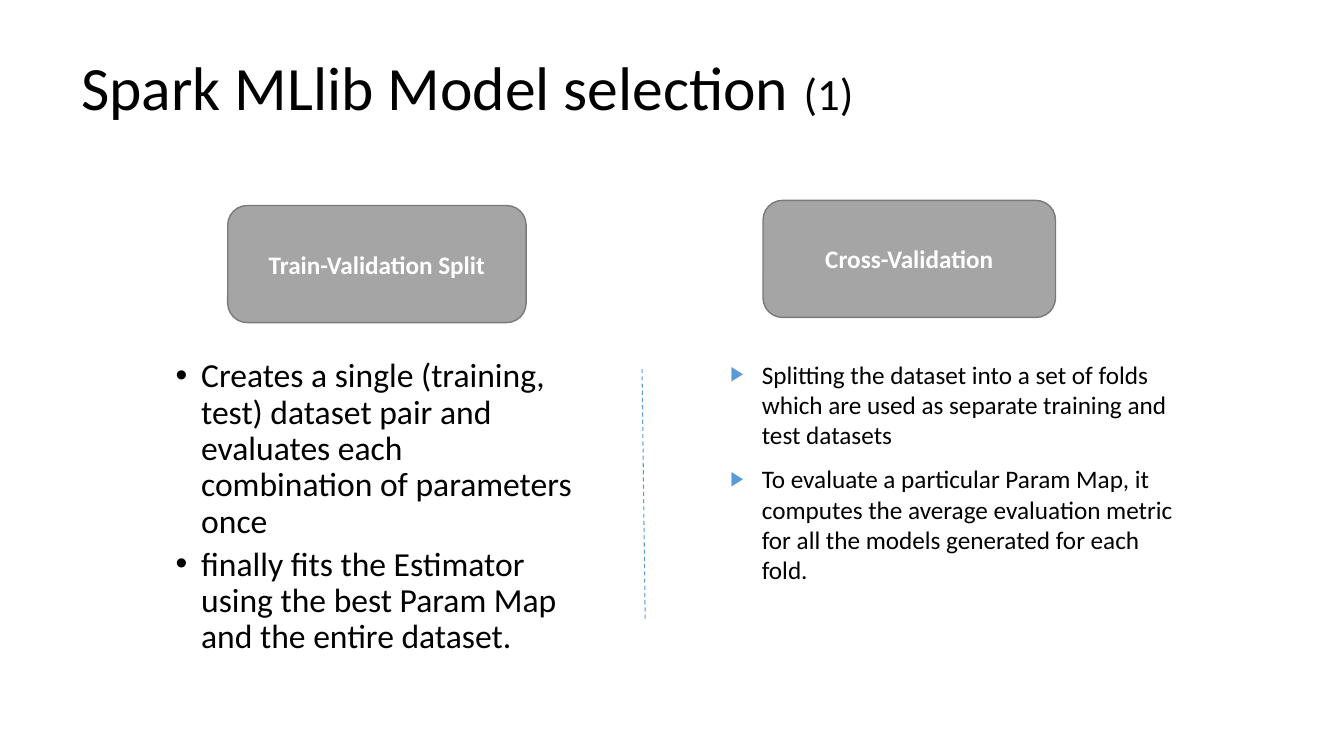
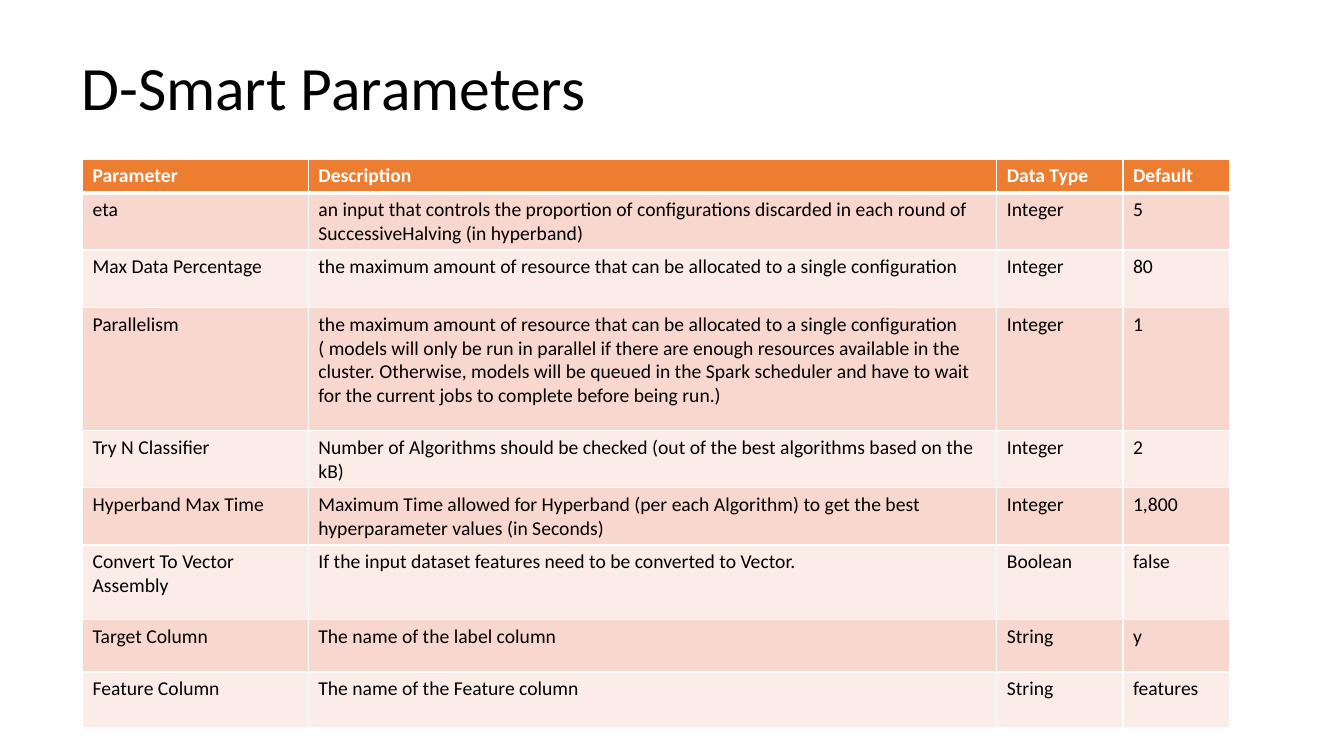
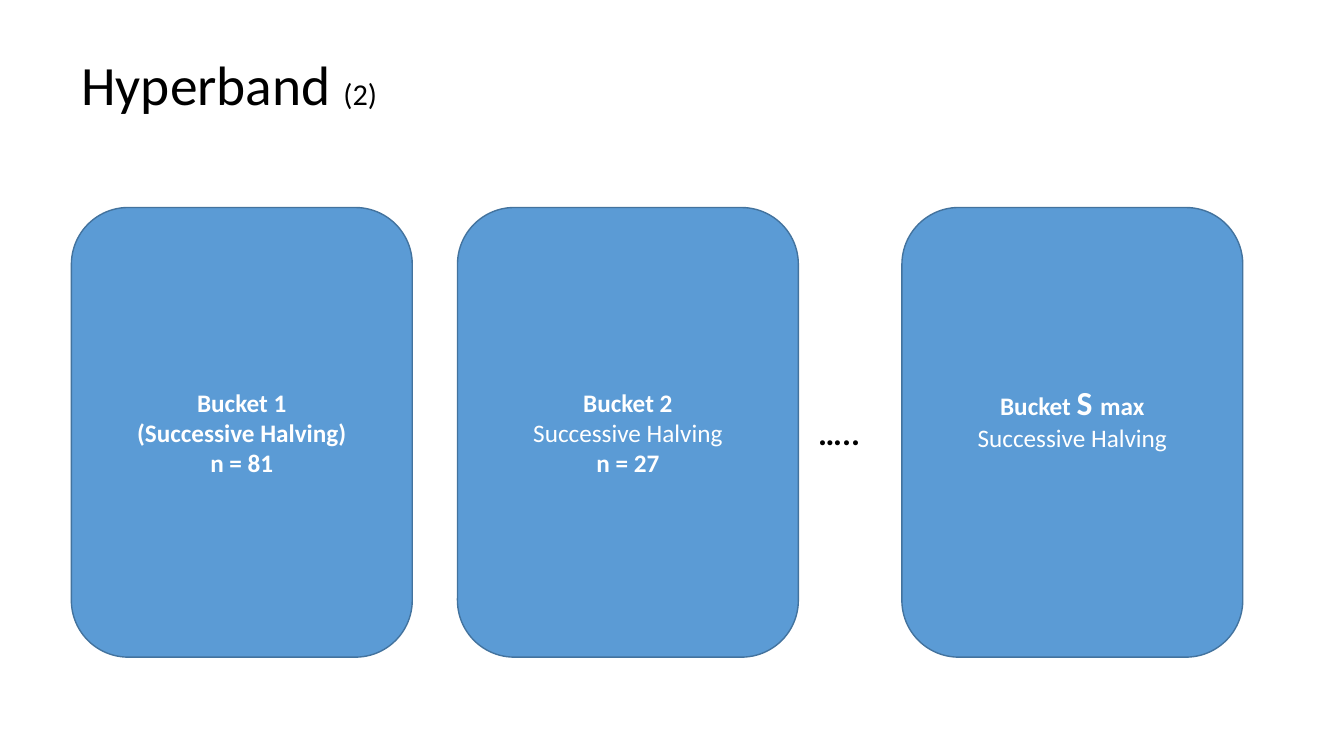
from dataclasses import dataclass
from lxml.etree import SubElement
from pptx import Presentation
from pptx.dml.color import RGBColor
from pptx.enum.dml import MSO_LINE
from pptx.enum.shapes import MSO_CONNECTOR, MSO_SHAPE
from pptx.enum.text import MSO_ANCHOR as ANCHOR, PP_ALIGN as ALIGN
from pptx.oxml import parse_xml
from pptx.oxml.ns import nsdecls, qn
from pptx.util import Cm, Pt


@dataclass(frozen=True)
class Theme:
    font: str = "Calibri"
    black: str = "000000"
    white: str = "FFFFFF"
    blue: str = "5B9BD5"
    blue_edge: str = "43739E"
    gray: str = "A5A5A5"
    gray_edge: str = "7A7A7A"
    header: str = "ED7D31"
    bands: tuple = ("F8D7CE", "FCECE8")
    title: float = 44
    large: float = 24
    body: float = 18
    cell: float = 14


T = Theme()

TITLES = [
    ([("Spark MLlib Model selection ", {}), ("(1)", {"size": 32})], 2.03),
    ([("D-Smart Parameters", {})], 2.01),
    ([("Hyperband ", {"size": 39.6}), ("(2)", {"size": 21.6})], 1.88),
]

METHODS = [
    {
        "name": "Train-Validation Split",
        "box": (5.74, 5.18, 7.52, 2.95),
        "list": (2.92, 8.92, 11.94, 8.46),
        "points": [
            "Creates a single (training, test) dataset pair and evaluates each combination of parameters once",
            "finally fits the Estimator using the best Param Map and the entire dataset.",
        ],
        "format": {"size": T.large, "bullet": "•", "margin": 1.9, "hang": 0.64, "spacing": 0.9, "before": 5},
    },
    {
        "name": "Cross-Validation",
        "box": (19.23, 5.05, 7.37, 2.95),
        "list": (16.89, 8.92, 13.11, 8.46),
        "points": [
            "Splitting the dataset into a set of folds which are used as separate training and test datasets",
            "To evaluate a particular Param Map, it computes the average evaluation metric for all the models generated for each fold.",
        ],
        "format": {"bullet": "▶", "bullet_color": T.blue, "bullet_size": 80, "margin": 2.06, "hang": 0.79, "before": 10},
    },
]
DIVIDER = (16.18, 9.3, 16.26, 15.65)

COLUMNS = [("Parameter", 5.69), ("Description", 17.35), ("Data Type", 3.18), ("Default", 2.69)]
HEADER_HEIGHT = 0.82
PARAMETERS = [
    (1.4, "eta", "an input that controls the proportion of configurations discarded in each round of SuccessiveHalving (in hyperband)", "Integer", "5"),
    (1.45, "Max Data Percentage", "the maximum amount of resource that can be allocated to a single configuration", "Integer", "80"),
    (3.1, "Parallelism", "the maximum amount of resource that can be allocated to a single configuration ( models will only be run in parallel if there are enough resources available in the cluster. Otherwise, models will be queued in the Spark scheduler and have to wait for the current jobs to complete before being run.)", "Integer", "1"),
    (1.4, "Try N Classifier", "Number of Algorithms should be checked (out of the best algorithms based on the kB)", "Integer", "2"),
    (1.4, "Hyperband Max Time", "Maximum Time allowed for Hyperband (per each Algorithm) to get the best hyperparameter values (in Seconds)", "Integer", "1,800"),
    (1.88, "Convert To Vector Assembly", "If the input dataset features need to be converted to Vector.", "Boolean", "false"),
    (1.32, "Target Column", "The name of the label column", "String", "y"),
    (1.4, "Feature Column", "The name of the Feature column", "String", "features"),
]

PLAIN = {"bold": False}
BUCKETS = [
    (1.8, ["Bucket 1", "(Successive Halving)", "n = 81"], 0.13),
    (11.53, ["Bucket 2", [("Successive Halving", PLAIN)], "n = 27"], 0.13),
    (22.73, [[("Bucket ", {}), ("S ", {"size": T.large}), ("max", {})], [("Successive Halving", PLAIN)]], 0.9),
]
BUCKET_TOP, BUCKET_WIDTH, BUCKET_HEIGHT = 5.23, 8.59, 11.33
DOTS = (20.37, 10.26, 1.85, 1.27)


def rgb(color):
    return RGBColor.from_string(color)


def add_bullet(p, char, margin, hang, color, percent):
    pPr = p._p.get_or_add_pPr()
    pPr.set("marL", str(Cm(margin)))
    pPr.set("indent", str(-Cm(hang)))
    if color:
        SubElement(SubElement(pPr, qn("a:buClr")), qn("a:srgbClr"), val=color)
    SubElement(pPr, qn("a:buSzPct"), val=str(percent * 1000))
    SubElement(pPr, qn("a:buFont"), typeface="Arial")
    SubElement(pPr, qn("a:buChar"), char=char)


def write(tf, paragraphs, size=T.body, color=T.black, bold=False, align=ALIGN.LEFT,
          spacing=None, before=0, bullet=None, margin=0, hang=0, bullet_color=None, bullet_size=100):
    for i, runs in enumerate(paragraphs):
        p = tf.add_paragraph() if i else tf.paragraphs[0]
        if bullet:
            add_bullet(p, bullet, margin, hang, bullet_color, bullet_size)
        p.alignment = align
        if spacing:
            p.line_spacing = spacing
        if i and before:
            p.space_before = Pt(before)
        for text, custom in [(runs, {})] if isinstance(runs, str) else runs:
            r = p.add_run()
            r.text = text
            r.font.name = T.font
            r.font.size = Pt(custom.get("size", size))
            r.font.bold = custom.get("bold", bold)
            r.font.color.rgb = rgb(color)


def add_text(s, box, paragraphs, wrap=True, anchor=ANCHOR.TOP, **fmt):
    tf = s.shapes.add_textbox(*map(Cm, box)).text_frame
    tf.word_wrap = wrap
    tf.vertical_anchor = anchor
    write(tf, paragraphs, **fmt)


def add_card(s, box, paragraphs, fill, edge, bottom=0.13):
    sp = s.shapes.add_shape(MSO_SHAPE.ROUNDED_RECTANGLE, *map(Cm, box))
    sp.shadow.inherit = False
    sp.fill.solid()
    sp.fill.fore_color.rgb = rgb(fill)
    sp.line.color.rgb = rgb(edge)
    sp.line.width = Pt(1)
    tf = sp.text_frame
    tf.word_wrap = True
    tf.vertical_anchor = ANCHOR.MIDDLE
    tf.margin_bottom = Cm(bottom)
    write(tf, paragraphs, color=T.white, bold=True, align=ALIGN.CENTER)


def add_slide(prs, title, height):
    s = prs.slides.add_slide(prs.slide_layouts[6])
    add_text(s, (1.8, 1.27, 26.14, height), [title], anchor=ANCHOR.MIDDLE, size=T.title, spacing=0.9)
    return s


def set_borders(cell, row):
    widths = {"L": 1, "R": 1, "T": 3 if row == 1 else 1, "B": 3 if row == 0 else 1}
    for i, (side, width) in enumerate(widths.items()):
        cell._tc.get_or_add_tcPr().insert(i, parse_xml(
            f'<a:ln{side} {nsdecls("a")} w="{Pt(width)}"><a:solidFill>'
            f'<a:srgbClr val="{T.white}"/></a:solidFill></a:ln{side}>'))


def build_selection(s):
    for method in METHODS:
        add_text(s, method["list"], method["points"], **method["format"])
        add_card(s, method["box"], [method["name"]], T.gray, T.gray_edge)
    divider = s.shapes.add_connector(MSO_CONNECTOR.STRAIGHT, *map(Cm, DIVIDER))
    divider.line.color.rgb = rgb(T.blue)
    divider.line.width = Pt(0.75)
    divider.line.dash_style = MSO_LINE.DASH
    SubElement(divider._element.spPr, qn("a:effectLst"))


def build_parameters(s):
    names, widths = zip(*COLUMNS)
    rows = [(HEADER_HEIGHT, *names), *PARAMETERS]
    size = (sum(widths), sum(row[0] for row in rows))
    table = s.shapes.add_table(len(rows), len(names), Cm(2.08), Cm(4.01), *map(Cm, size)).table
    for column, width in zip(table.columns, widths):
        column.width = Cm(width)
    for i, (height, *texts) in enumerate(rows):
        table.rows[i].height = Cm(height)
        head = i == 0
        for cell, text in zip(table.rows[i].cells, texts):
            cell.fill.solid()
            cell.fill.fore_color.rgb = rgb(T.header if head else T.bands[(i - 1) % 2])
            set_borders(cell, i)
            write(cell.text_frame, [text], size=T.cell, color=T.white if head else T.black, bold=head)


def build_buckets(s):
    for left, lines, bottom in BUCKETS:
        box = (left, BUCKET_TOP, BUCKET_WIDTH, BUCKET_HEIGHT)
        add_card(s, box, lines, T.blue, T.blue_edge, bottom)
    add_text(s, DOTS, ["….."], wrap=False, size=T.large, bold=True)


def main():
    prs = Presentation()
    prs.slide_width, prs.slide_height = Cm(33.87), Cm(19.05)
    for (title, height), build in zip(TITLES, (build_selection, build_parameters, build_buckets)):
        build(add_slide(prs, title, height))
    prs.save("out.pptx")


if __name__ == "__main__":
    main()
